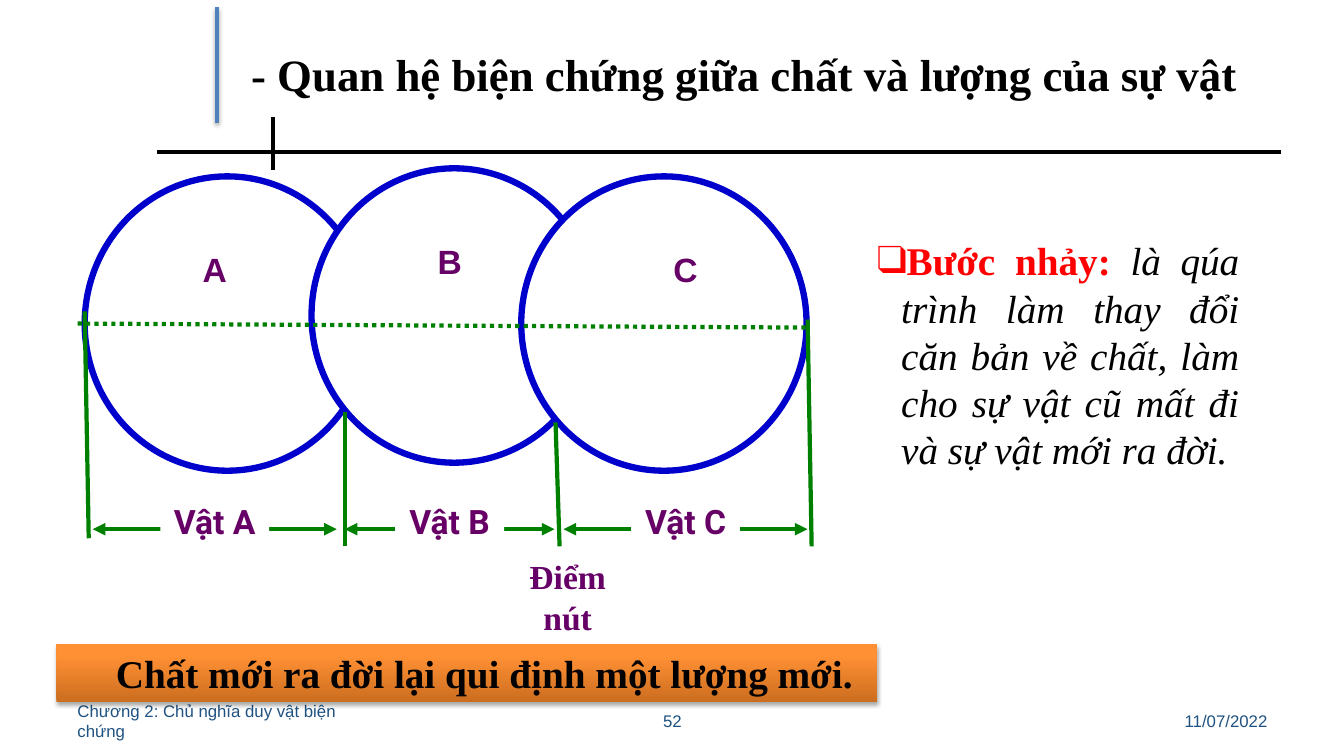
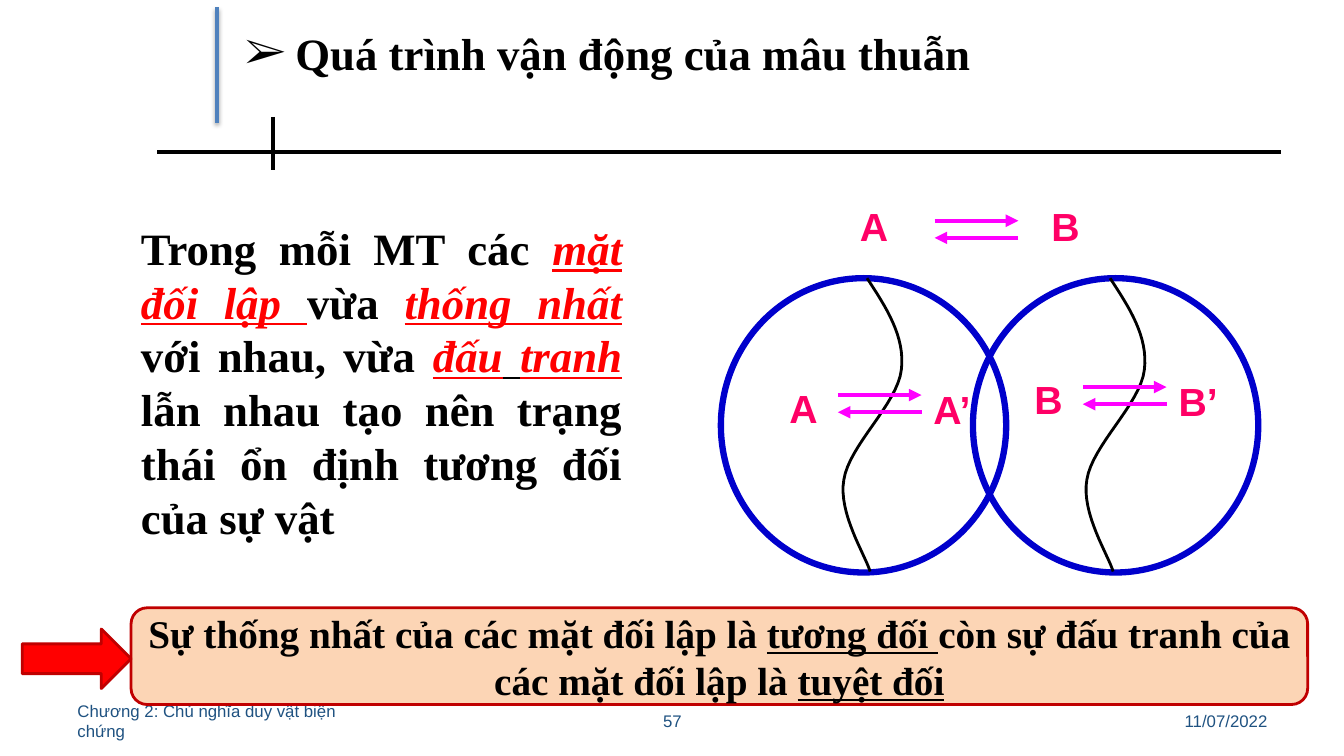
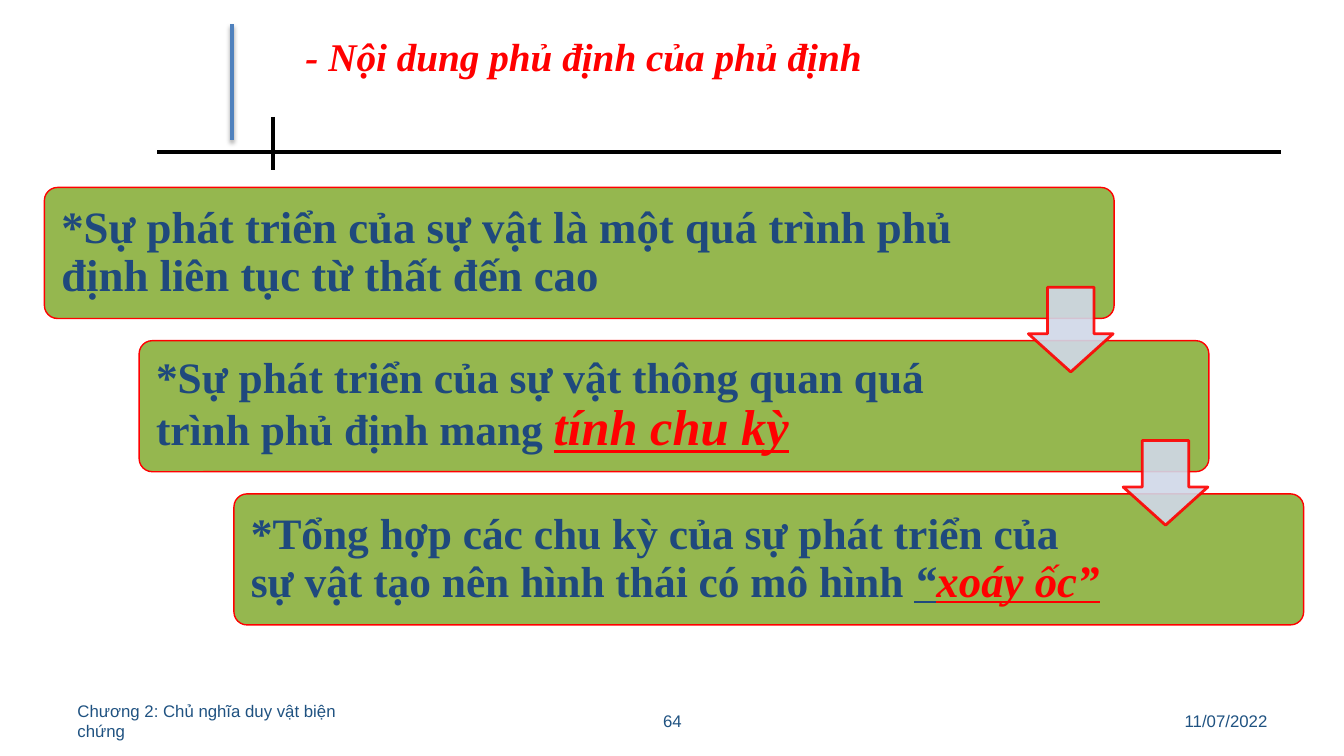
import pptx
import pptx.util
import pptx.dml.color
import pptx.enum.dml
import pptx.enum.shapes
import pptx.enum.text
import lxml.etree
from pptx.oxml.ns import qn

Inches = pptx.util.Inches
Pt = pptx.util.Pt
RGBColor = pptx.dml.color.RGBColor
Shape = pptx.enum.shapes.MSO_SHAPE
Anchor = pptx.enum.text.MSO_ANCHOR
Align = pptx.enum.text.PP_ALIGN

BLACK = RGBColor(0x00, 0x00, 0x00)
WHITE = RGBColor(0xFF, 0xFF, 0xFF)
RED = RGBColor(0xFF, 0x00, 0x00)
DARK_RED = RGBColor(0xC0, 0x00, 0x00)
CIRCLE_BLUE = RGBColor(0x00, 0x00, 0xCC)
ACCENT_BLUE = RGBColor(0x4F, 0x81, 0xBD)
FOOTER_BLUE = RGBColor(0x1F, 0x52, 0x81)
STEP_BLUE = RGBColor(0x1F, 0x49, 0x7D)
PURPLE = RGBColor(0x66, 0x00, 0x66)
GREEN = RGBColor(0x00, 0x80, 0x00)
STEP_GREEN = RGBColor(0x95, 0xB7, 0x4F)
PINK = RGBColor(0xFF, 0x00, 0x66)
MAGENTA = RGBColor(0xFF, 0x00, 0xFF)
PEACH = RGBColor(0xFC, 0xD5, 0xB5)
PALE_BLUE = RGBColor(0xD0, 0xD8, 0xE8)
ORANGE_DARK = RGBColor(0xCC, 0x6E, 0x20)
ORANGE = RGBColor(0xFF, 0x90, 0x34)

SERIF = "Times New Roman"
SANS = "Arial"
CIRCLE_SIZE = (2.83, 2.92)

FOOTER = "Chương 2: Chủ nghĩa duy vật biện chứng"
DATE = "11/07/2022"

LEAP = [
    ("Bước nhảy: ", {"color": RED, "bold": True}),
    ("là qúa trình làm thay đổi căn bản về chất, làm cho sự vật cũ mất đi "
     "và sự vật mới ra đời.", {"italic": True}),
]
NEW_QUANTITY = "Chất mới ra đời lại qui định một lượng mới."
OBJECTS = [
    ("A", 0.84, 1.75, 1.59, 2.42, (0.92, 3.34)),
    ("B", 3.09, 1.67, 3.92, 2.34, (3.42, 5.5)),
    ("C", 5.17, 1.75, 6.26, 2.42, (5.59, 8.01)),
]
BOUNDARIES = [
    (0.84, 3.09, 0.88, 5.34),
    (3.42, 4.09, 3.42, 5.42),
    (5.51, 4.19, 5.55, 5.42),
    (8.01, 3.17, 8.05, 5.42),
]

KEY = {"color": RED, "italic": True, "underline": True}
UNDERLINED = {"underline": True}
OPPOSITES = [
    ("Trong mỗi MT các ", {}), ("mặt đối lập ", KEY), ("vừa ", {}),
    ("thống nhất ", KEY), ("với nhau, vừa ", {}), ("đấu", KEY),
    (" ", {"italic": True, "underline": True}), ("tranh", KEY),
    (" lẫn nhau tạo nên trạng thái ổn định tương đối của sự vật", {}),
]
UNITY = [
    ("Sự thống nhất của các mặt đối lập là ", {}), ("tương đối ", UNDERLINED),
    ("còn sự đấu tranh của các mặt đối lập là ", {}), ("tuyệt đối", UNDERLINED),
]
CONTRADICTION_LEFTS = [7.15, 9.65]
DIVIDER_STARTS = [(8.6, 2.76), (11.01, 2.76)]
DIVIDER = [
    [(0, 0), (0.19, 0.29), (0.38, 0.58), (0.34, 0.91)],
    [(0.34, 0.91), (0.3, 1.25), (-0.18, 1.66), (-0.23, 2)],
    [(-0.23, 2), (-0.29, 2.33), (-0.01, 2.76), (0.03, 2.91)],
]
PAIRS = [
    (("A", 7.73, 3.76), ("A’", 9.16, 3.77), (8.31, 3.92)),
    (("B", 10.16, 3.67), ("B’", 11.59, 3.69), (10.74, 3.84)),
    (("A", 8.43, 1.96), ("B", 10.33, 1.96), (9.27, 2.19)),
]

STEPS = [
    ([("*Sự phát triển của sự vật là một quá trình phủ định liên tục từ thất "
       "đến cao", {})], 32, 1.46),
    ([("*Sự phát triển của sự vật thông quan quá trình phủ định mang ", {}),
      ("tính chu kỳ", {**KEY, "size": 36})], 31, 1.9),
    ([("*Tổng hợp các chu kỳ của sự phát triển của sự vật tạo nên hình thái "
       "có mô hình ", {}),
      ("“", {"size": 32, "italic": True, "underline": True}),
      ("xoáy ốc”", {**KEY, "size": 32})], 31, 1.9),
]


def box(left, top, width, height):
    return [Inches(v) for v in (left, top, width, height)]


def style(font, size=None, name=None, color=None, **flags):
    if size:
        font.size = Pt(size)
    if name:
        font.name = name
    if color is not None:
        font.color.rgb = color
    for flag, value in flags.items():
        setattr(font, flag, value)


def write(shape, lines, align=Align.LEFT, anchor=Anchor.TOP, wrap=True,
          bullet=None, left=0, hanging=0, spacing=None, **font):
    frame = shape.text_frame
    frame.word_wrap = wrap
    frame.auto_size = pptx.enum.text.MSO_AUTO_SIZE.NONE
    frame.vertical_anchor = anchor
    for index, line in enumerate(lines):
        paragraph = frame.add_paragraph() if index else frame.paragraphs[0]
        paragraph.alignment = align
        if spacing:
            paragraph.line_spacing = spacing
        properties = paragraph._p.get_or_add_pPr()
        if left:
            properties.set("marL", str(Inches(left)))
            properties.set("indent", str(-Inches(hanging)))
        if bullet:
            lxml.etree.SubElement(properties, qn("a:buFont"), typeface=SERIF)
            lxml.etree.SubElement(properties, qn("a:buChar"), char=bullet)
        style(paragraph.font, **font)
        for text, changes in [(line, {})] if isinstance(line, str) else line:
            run = paragraph.add_run()
            run.text = text
            style(run.font, **changes)


def add_text(slide, place, lines, **options):
    text_box = slide.shapes.add_textbox(*box(*place))
    write(text_box, lines, **options)
    return text_box


def add_shape(slide, kind, place, fill=None, line=None, weight=2):
    shape = slide.shapes.add_shape(kind, *box(*place))
    shape.shadow.inherit = False
    if fill is None:
        shape.fill.background()
    else:
        shape.fill.solid()
        shape.fill.fore_color.rgb = fill
    if line is None:
        shape.line.fill.background()
    else:
        shape.line.color.rgb = line
        shape.line.width = Pt(weight)
    return shape


def add_circle(slide, left, top, fill=None):
    add_shape(slide, Shape.OVAL, (left, top, *CIRCLE_SIZE), fill, CIRCLE_BLUE, 4.5)


def add_line(slide, x1, y1, x2, y2, color, ends=()):
    line = slide.shapes.add_connector(
        pptx.enum.shapes.MSO_CONNECTOR.STRAIGHT, *box(x1, y1, x2, y2))
    line.line.color.rgb = color
    line.line.width = Pt(3)
    for end in ends:
        lxml.etree.SubElement(line.line._get_or_add_ln(), qn("a:" + end), type="triangle")
    lxml.etree.SubElement(line.element.spPr, qn("a:effectLst"))
    return line


def cast_shadow(shape):
    effects = shape.element.spPr.find(qn("a:effectLst"))
    shadow = lxml.etree.SubElement(
        effects, qn("a:outerShdw"), blurRad=str(Pt(3.1)), dist=str(Pt(1.8)),
        dir="5400000", rotWithShape="0")
    add_alpha(lxml.etree.SubElement(shadow, qn("a:srgbClr"), val="000000"), 35)


def add_alpha(color, percent):
    lxml.etree.SubElement(color, qn("a:alpha"), val=str(percent * 1000))


def start_slide(deck, title, place, number, accent=(2.15, 0.07), size=32,
                color=BLACK, **options):
    slide = deck.slides.add_slide(deck.slide_layouts[5])
    add_line(slide, 1.56, 1.51, 12.71, 1.51, BLACK)
    add_line(slide, 2.71, 1.16, 2.71, 1.69, BLACK)
    x, y = accent
    cast_shadow(add_line(slide, x, y, x, y + 1.15, ACCENT_BLUE))
    heading = slide.shapes.title
    heading.left, heading.top, heading.width, heading.height = box(*place)
    write(heading, [title], name=SERIF, size=size, color=color, bold=True, **options)
    for text, left, width, align in [
        (FOOTER, 0.67, 3.11, Align.LEFT),
        (number, 4.56, 4.22, Align.CENTER),
        (DATE, 9.56, 3.11, Align.RIGHT),
    ]:
        add_text(slide, (left, 6.95, width, 0.4), [text], align=align,
                 anchor=Anchor.MIDDLE, name=SANS, size=12, color=FOOTER_BLUE)
    return slide


def build_quality_quantity(deck):
    slide = start_slide(deck, "- Quan hệ biện chứng giữa chất và lượng của sự vật",
                        (2.39, 0.41, 10.18, 0.64), "52")
    label = {"align": Align.CENTER, "size": 24, "color": PURPLE, "bold": True}
    for _, left, top, *_ in OBJECTS:
        add_circle(slide, left, top, WHITE)
    for boundary in BOUNDARIES:
        add_line(slide, *boundary, GREEN)
    for letter, _, _, left, top, (start, end) in OBJECTS:
        add_text(slide, (left, top, 1.08, 0.5), [letter], name=SANS, **label)
        add_line(slide, start, 5.25, end, 5.25, GREEN, ("headEnd", "tailEnd"))
        caption = add_shape(slide, Shape.RECTANGLE, (left, 4.92, 1.08, 0.5), WHITE)
        write(caption, ["Vật " + letter], name="Roboto", **label)
    diameter = add_line(slide, 0.77, 3.21, 8.01, 3.25, GREEN)
    diameter.line.dash_style = pptx.enum.dml.MSO_LINE.ROUND_DOT
    add_text(slide, (4.79, 5.47, 1.68, 0.91), ["Điểm", "nút"], name=SERIF, **label)
    add_text(slide, (8.6, 2.3, 3.79, 2.46), [LEAP], align=Align.JUSTIFY, bullet="❑",
             left=0.24, hanging=0.24, name=SERIF, size=28, color=BLACK)
    banner = add_shape(slide, Shape.RECTANGLE, (0.56, 6.39, 8.14, 0.57), ORANGE)
    banner.fill.gradient()
    banner.fill.gradient_angle = 90
    for stop, color, position in zip(banner.fill.gradient_stops,
                                     (ORANGE_DARK, ORANGE), (0, 0.8)):
        stop.color.rgb = color
        stop.position = position
    cast_shadow(banner)
    write(banner, [NEW_QUANTITY], left=0.49, name=SERIF, size=28, color=BLACK, bold=True)


def bezier(p0, p1, p2, p3, steps=16):
    for step in range(1, steps + 1):
        t = step / steps
        weights = ((1 - t) ** 3, 3 * t * (1 - t) ** 2, 3 * t * t * (1 - t), t ** 3)
        yield tuple(sum(w * p[axis] for w, p in zip(weights, (p0, p1, p2, p3)))
                    for axis in (0, 1))


def add_divider(slide, left, top):
    outline = slide.shapes.build_freeform(Inches(left), Inches(top))
    outline.add_line_segments(
        [(Inches(left + x), Inches(top + y)) for curve in DIVIDER for x, y in bezier(*curve)],
        close=False)
    divider = outline.convert_to_shape()
    divider.shadow.inherit = False
    divider.fill.background()
    divider.line.color.rgb = BLACK
    divider.line.width = Pt(2)


def build_contradiction(deck):
    slide = start_slide(deck, "Quá trình vận động của mâu thuẫn", (1.96, 0.2, 8.14, 0.64),
                        "57", align=Align.CENTER, bullet="➢", left=0.5, hanging=0.5)
    add_text(slide, (1.3, 2.14, 4.97, 3.33), [OPPOSITES], align=Align.JUSTIFY,
             name=SERIF, size=32, color=BLACK, bold=True)
    for left in CONTRADICTION_LEFTS:
        add_circle(slide, left, 2.76)
    for start in DIVIDER_STARTS:
        add_divider(slide, *start)
    for *sides, (x, y) in PAIRS:
        for text, left, top in sides:
            add_text(slide, (left, top, 0.59, 0.57), [text], wrap=False,
                     name=SANS, size=28, color=PINK, bold=True)
        add_line(slide, x, y, x + 0.83, y, MAGENTA, ("tailEnd",))
        add_line(slide, x + 0.83, y + 0.17, x, y + 0.17, MAGENTA, ("tailEnd",))
    conclusion = add_shape(slide, Shape.FLOWCHART_ALTERNATE_PROCESS,
                           (1.3, 6.03, 11.67, 0.96), PEACH, DARK_RED)
    conclusion.text_frame.margin_top = conclusion.text_frame.margin_bottom = 0
    write(conclusion, [UNITY], align=Align.CENTER, anchor=Anchor.MIDDLE,
          name=SERIF, size=28, color=BLACK, bold=True)
    add_shape(slide, Shape.RIGHT_ARROW, (0.22, 6.24, 1.08, 0.59), RED, DARK_RED)


def build_negation(deck):
    slide = start_slide(deck, "- Nội dung phủ định của phủ định", (2.93, 0.27, 5.96, 0.57),
                        "64", accent=(2.3, 0.24), size=28, color=RED, italic=True)
    for index, (text, size, right_margin) in enumerate(STEPS):
        step = add_shape(slide, Shape.ROUNDED_RECTANGLE,
                         (0.44 + 0.94 * index, 1.86 + 1.52 * index, 10.61, 1.3),
                         STEP_GREEN, RED, 1)
        step.adjustments[0] = 0.1
        step.text_frame.margin_left = Inches(0.13)
        step.text_frame.margin_right = Inches(right_margin)
        write(step, [text], anchor=Anchor.MIDDLE, spacing=0.9,
              name=SERIF, size=size, color=STEP_BLUE, bold=True)
    for index in range(len(STEPS) - 1):
        arrow = add_shape(slide, Shape.DOWN_ARROW,
                          (10.2 + 0.94 * index, 2.85 + 1.52 * index, 0.84, 0.84),
                          PALE_BLUE, RED)
        arrow.adjustments[0] = 0.55
        arrow.adjustments[1] = 0.45
        for color in list(arrow.element.spPr.iter(qn("a:srgbClr"))):
            add_alpha(color, 90)


def main():
    deck = pptx.Presentation()
    deck.slide_width = Inches(13.33)
    deck.slide_height = Inches(7.5)
    build_quality_quantity(deck)
    build_contradiction(deck)
    build_negation(deck)
    deck.save("out.pptx")


if __name__ == "__main__":
    main()
